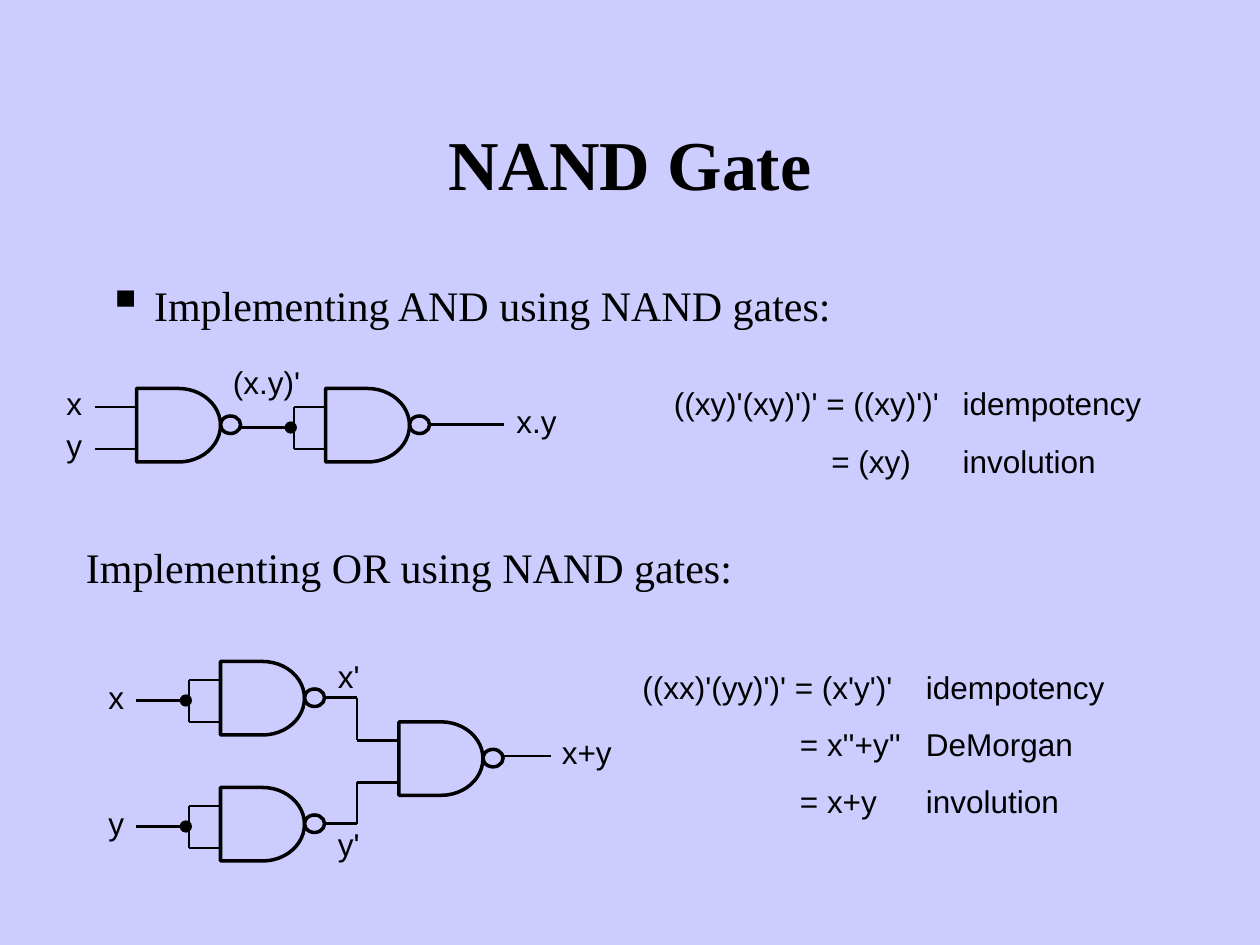
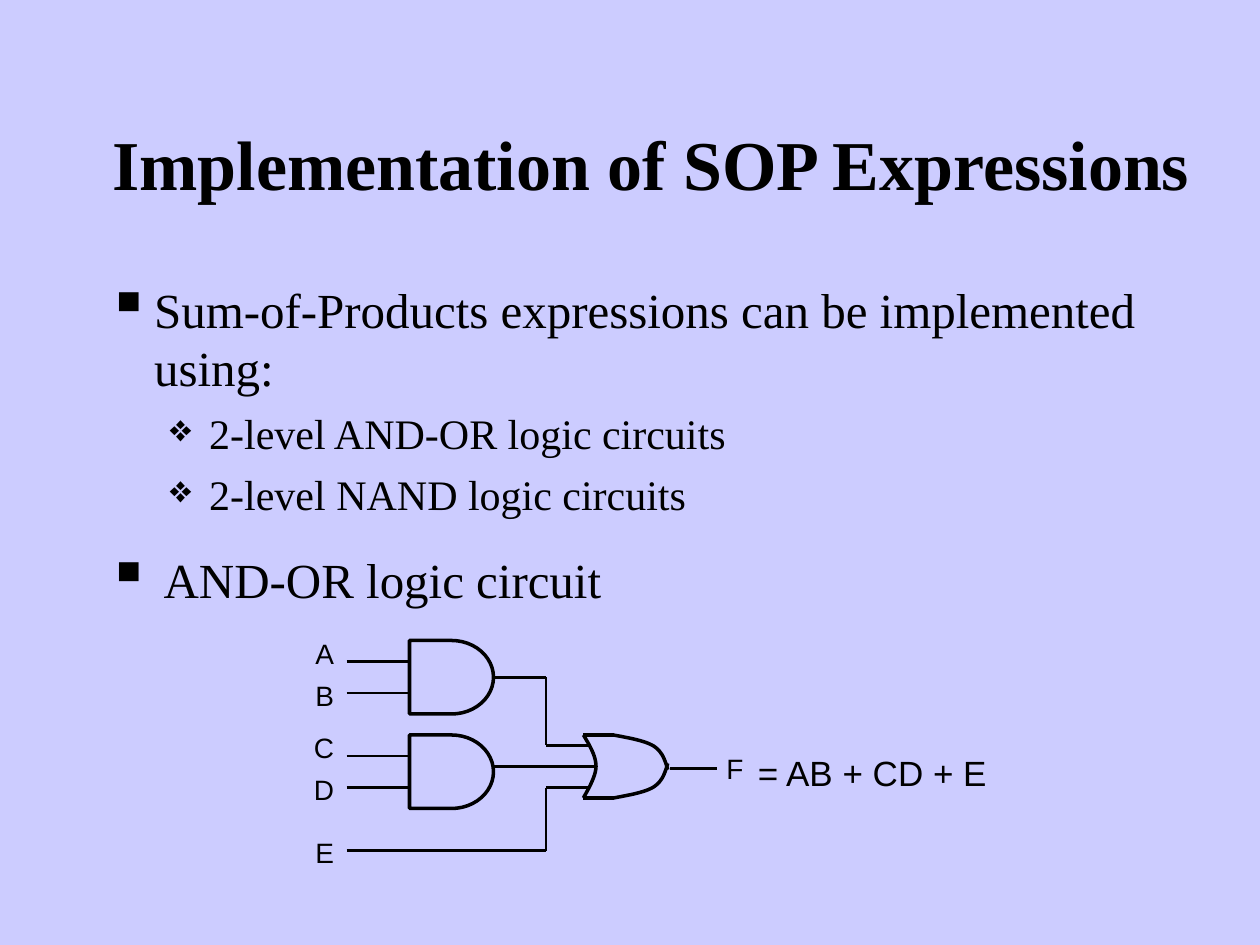
from itertools import pairwise
from lxml import etree
from pptx import Presentation
from pptx.dml.color import RGBColor
from pptx.enum.shapes import MSO_CONNECTOR as LINK, MSO_SHAPE as SHAPE
from pptx.enum.text import MSO_ANCHOR as ANCHOR, PP_ALIGN as ALIGN
from pptx.oxml.ns import qn
from pptx.util import Pt

COLORS = {"paper": "CCCCFF", "ink": "000000"}
SERIF, SANS = "Times New Roman", "Arial"
GATE_W, GATE_H = 48, 42
UPPER_IN, LOWER_IN, GATE_OUT = 10.5, 34.5, 20.7
BUBBLE_W, BUBBLE_H = 11.5, 10
OUT_X = GATE_W + BUBBLE_W
BULLETS = {0: ("▪", 120, 27, -27), 1: ("❖", 90, 58.5, -22.5)}


def color(name):
    return RGBColor.from_string(COLORS[name])


class Deck:
    def __init__(self):
        self.prs = Presentation()
        self.prs.slide_width, self.prs.slide_height = Pt(720), Pt(540)
        self.slide = None

    def new_slide(self, heading, width):
        self.slide = self.prs.slides.add_slide(self.prs.slide_layouts[5])
        fill = self.slide.background.fill
        fill.solid()
        fill.fore_color.rgb = color("paper")
        title = self.slide.shapes.title
        title.left, title.top, title.width, title.height = Pt(54), Pt(48), Pt(width), Pt(90)
        title.text_frame.word_wrap = True
        title.text_frame.vertical_anchor = ANCHOR.MIDDLE
        title.text_frame.text = heading
        self.style(title.text_frame.paragraphs[0], 40, SERIF, ALIGN.CENTER, bold=True)

    def style(self, paragraph, size, face, align=ALIGN.LEFT, bold=False):
        paragraph.alignment = align
        font = paragraph.font
        font.size, font.name, font.bold = Pt(size), face, bold
        font.color.rgb = color("ink")

    def frame(self, x, y, w, h):
        frame = self.slide.shapes.add_textbox(Pt(x), Pt(y), Pt(w), Pt(h)).text_frame
        frame.word_wrap = True
        return frame

    def label(self, x, y, w, text, size=18, face=SANS, align=ALIGN.LEFT):
        frame = self.frame(x, y, w, size * 1.15 + 7.2)
        frame.text = text
        self.style(frame.paragraphs[0], size, face, align)

    def proof(self, x, y, w, law_tab, steps):
        frame = self.frame(x, y, w, 33 * len(steps))
        frame.text = "\n".join(steps)
        for number, step in enumerate(frame.paragraphs):
            step.space_before = Pt(11.2 if number else 0)
            tabs = etree.SubElement(step._p.get_or_add_pPr(), qn("a:tabLst"))
            for stop in (90, law_tab):
                etree.SubElement(tabs, qn("a:tab"), pos=str(Pt(stop)), algn="l")
            self.style(step, 18, SANS)

    def bullets(self, h, items):
        frame = self.frame(54, 156, 612, h)
        frame.text = "\n".join(text for text, *_ in items)
        for item, (_, level, size, before) in zip(frame.paragraphs, items):
            mark, percent, margin, indent = BULLETS[level]
            item.level = level
            item.space_before = Pt(before)
            props = item._p.get_or_add_pPr()
            props.set("marL", str(Pt(margin)))
            props.set("indent", str(Pt(indent)))
            tint = etree.SubElement(props, qn("a:buClr"))
            etree.SubElement(tint, qn("a:srgbClr"), val=COLORS["ink"])
            etree.SubElement(props, qn("a:buSzPct"), val=str(percent * 1000))
            etree.SubElement(props, qn("a:buChar"), char=mark)
            self.style(item, size, SERIF)

    def wire(self, *points, weight=1.5):
        for start, end in pairwise(points):
            line = self.slide.shapes.add_connector(LINK.STRAIGHT, *map(Pt, start + end))
            line.line.color.rgb = color("ink")
            line.line.width = Pt(weight)
            etree.SubElement(line._element.spPr, qn("a:effectLst"))

    def outline(self, shape, weight=2):
        shape.shadow.inherit = False
        shape.fill.background()
        shape.line.color.rgb = color("ink")
        shape.line.width = Pt(weight)

    def preset(self, kind, x, y, w, h):
        shape = self.slide.shapes.add_shape(kind, Pt(x), Pt(y), Pt(w), Pt(h))
        self.outline(shape)
        return shape

    def and_gate(self, x, y):
        self.preset(SHAPE.FLOWCHART_DELAY, x, y, GATE_W, GATE_H)

    def nand_gate(self, x, y):
        self.and_gate(x, y)
        self.preset(SHAPE.OVAL, x + GATE_W, y + 15.7, BUBBLE_W, BUBBLE_H)

    def inverter(self, x, y, source_x):
        self.nand_gate(x, y)
        tie = x - 18
        self.wire((source_x, y + 22.3), (tie, y + 22.3))
        self.wire((x, y + UPPER_IN), (tie, y + UPPER_IN), (tie, y + LOWER_IN), (x, y + LOWER_IN))
        dot = self.preset(SHAPE.OVAL, tie - 4.8, y + 19.3, 6, 6)
        dot.fill.solid()
        dot.fill.fore_color.rgb = color("ink")
        dot.line.width = Pt(1)

    def curve(self, *knots, steps=12):
        points = []
        for first in range(0, len(knots) - 1, 3):
            a, b, c, d = knots[first:first + 4]
            for step in range(steps + 1):
                t = step / steps
                u = 1 - t
                weights = (u ** 3, 3 * u * u * t, 3 * u * t * t, t ** 3)
                points.append(tuple(
                    Pt(sum(k * knot[axis] for k, knot in zip(weights, (a, b, c, d))))
                    for axis in (0, 1)))
        path = self.slide.shapes.build_freeform(*points[0])
        path.add_line_segments(points[1:], close=False)
        self.outline(path.convert_to_shape())

    def or_gate(self, x, y):
        h = 36
        self.curve((x, y), (x + 3.6, y + 6), (x + 7.2, y + 12), (x + 7.2, y + 18),
                   (x + 7.2, y + 24), (x + 1.6, y + 33), (x, y + h))
        belly = [(17.2, 0), (26.6, 1.8), (35.2, 3.2), (40.3, 6.4),
                 (45.3, 9.7), (46.8, 14.8), (48.2, 19.8)]
        self.curve(*[(x + dx, y + dy) for dx, dy in belly])
        self.curve(*[(x + dx, y + h - dy) for dx, dy in belly])
        for edge in (y, y + h):
            self.wire((x, edge), (x + 17.2, edge), weight=2)


def nand_slide(deck):
    deck.new_slide("NAND Gate", 612)
    deck.bullets(54, [("Implementing AND using NAND gates:", 0, 24, 0)])
    deck.proof(378, 216, 360, 165, ["((xy)'(xy)')' = ((xy)')'\tidempotency",
                                    "\t= (xy)\tinvolution"])
    top = 222
    deck.nand_gate(78, top)
    deck.inverter(186, top, 78 + OUT_X)
    for name, label_y, wire_y in (("x", 216, top + UPPER_IN), ("y", 240, top + LOWER_IN)):
        deck.label(30, label_y, 24, name, align=ALIGN.RIGHT)
        deck.wire((54, wire_y), (78, wire_y))
    deck.wire((186 + OUT_X, top + GATE_OUT), (288, top + GATE_OUT))
    deck.label(126, 204, 54, "(x.y)'")
    deck.label(288, 226, 42, "x.y")

    deck.label(42, 306, 384, "Implementing OR using NAND gates:", 24, SERIF)
    deck.proof(360, 378, 306, 162, ["((xx)'(yy)')' = (x'y')'\tidempotency",
                                    "\t= x''+y''\tDeMorgan",
                                    "\t= x+y\tinvolution"])
    sum_x, sum_y, bend = 228, 412.5, 204
    deck.nand_gate(sum_x, sum_y)
    for name, y, entry, negated_y in (("x", 378, UPPER_IN, 372), ("y", 450, LOWER_IN, 468)):
        deck.inverter(126, y, 78)
        deck.label(54, y + 6, 24, name, align=ALIGN.RIGHT)
        deck.label(186, negated_y, 30, name + "'")
        deck.wire((126 + OUT_X, y + GATE_OUT), (bend, y + GATE_OUT),
                  (bend, sum_y + entry), (sum_x, sum_y + entry))
    deck.wire((sum_x + OUT_X, 432), (315, 432))
    deck.label(314, 415.5, 48, "x+y")


def sop_slide(deck):
    deck.new_slide("Implementation of SOP Expressions", 636)
    deck.bullets(324, [
        ("Sum-of-Products expressions can be implemented using:", 0, 28, 0),
        ("2-level AND-OR logic circuits", 1, 24, 6),
        ("2-level NAND logic circuits", 1, 24, 6),
        (" AND-OR logic circuit", 0, 28, 17.5)])
    gate_x, bend, or_x = 234, 312, 333.4
    inputs = {"A": (360, 378), "B": (384, 396), "C": (414, 432), "D": (438, 450), "E": (474, 486)}
    for name, (label_y, wire_y) in inputs.items():
        deck.label(168, label_y, 30, name, 16, align=ALIGN.RIGHT)
        deck.wire((198, wire_y), (bend if name == "E" else gate_x, wire_y))
    for y in (366, 420):
        deck.and_gate(gate_x, y)
    deck.or_gate(or_x, 420)
    deck.wire((gate_x + GATE_W, 387), (bend, 387), (bend, 426), (336, 426))
    deck.wire((gate_x + GATE_W, 438), (340.5, 438))
    deck.wire((bend, 486), (bend, 450), (336, 450))
    deck.wire((383, 439), (410, 439))
    deck.label(408, 426, 35, "F", 16)
    deck.label(426, 426, 174, "= AB + CD + E", 20)


def main():
    deck = Deck()
    nand_slide(deck)
    sop_slide(deck)
    deck.prs.save("out.pptx")


if __name__ == "__main__":
    main()
